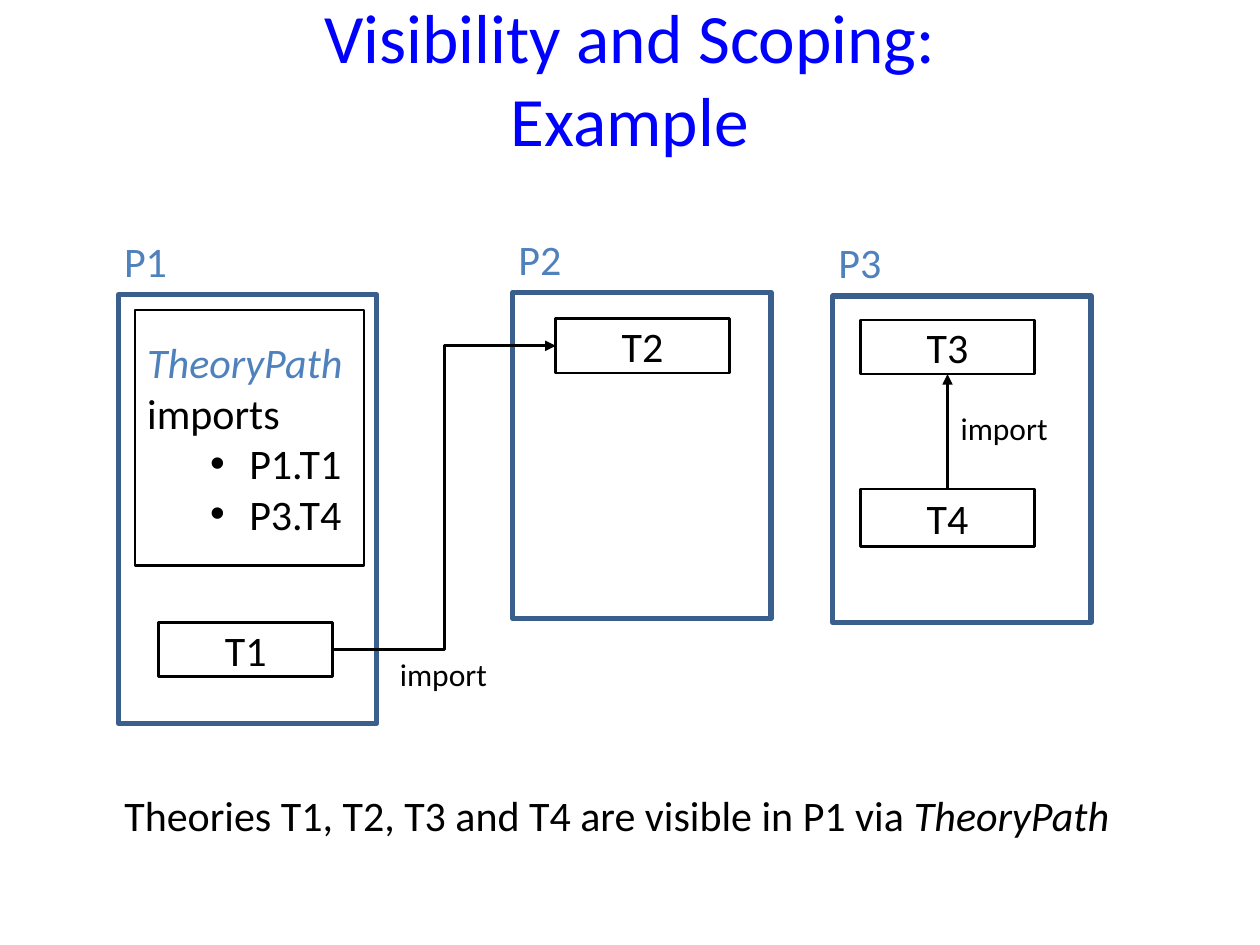
from lxml.etree import SubElement
from pptx import Presentation
from pptx.dml.color import RGBColor
from pptx.enum.shapes import MSO_CONNECTOR as Connector, MSO_SHAPE as Shape
from pptx.enum.text import MSO_ANCHOR as Anchor, PP_ALIGN as Align
from pptx.oxml.ns import qn
from pptx.util import Inches, Pt

COLORS = {"title": "0000FF", "label": "4F81BD", "frame": "3A5F8C", "ink": "000000"}
FONT = "Calibri"
TOP, LEFT, BOTTOM, RIGHT = range(4)
THEORY_WIDTH, THEORY_HEIGHT = 1.38, 0.43
PACKAGES = [
    ("P1", (0.94, 2.34, 2.05, 3.4), [("T1", 0.32, 2.6, THEORY_HEIGHT)]),
    ("P2", (4.07, 2.32, 2.05, 2.59), [("T2", 0.34, 0.21, THEORY_HEIGHT)]),
    ("P3", (6.61, 2.35, 2.05, 2.59),
     [("T3", 0.22, 0.19, THEORY_HEIGHT), ("T4", 0.22, 1.53, 0.46)]),
]


def color(name):
    """Look up a named colour."""
    return RGBColor.from_string(COLORS[name])


def add_run(paragraph, text, size=24, ink="ink", italic=False):
    """Append one styled run to a paragraph."""
    run = paragraph.add_run()
    run.text = text
    run.font.name, run.font.size, run.font.italic = FONT, Pt(size), italic
    run.font.color.rgb = color(ink)


def add_text(slide, box, runs, wrap=False):
    """Add a centred text box holding one paragraph of runs."""
    frame = slide.shapes.add_textbox(*map(Inches, box)).text_frame
    frame.word_wrap, frame.vertical_anchor = wrap, Anchor.MIDDLE
    paragraph = frame.paragraphs[0]
    paragraph.alignment = Align.CENTER
    for run in runs:
        add_run(paragraph, *run)
    return paragraph


def add_box(slide, box, line="ink", width=1.5):
    """Add an unfilled outlined rectangle."""
    shape = slide.shapes.add_shape(Shape.RECTANGLE, *map(Inches, box))
    shape.shadow.inherit = False
    shape.fill.background()
    shape.line.color.rgb, shape.line.width = color(line), Pt(width)
    shape.text_frame.vertical_anchor = Anchor.MIDDLE
    return shape


def add_package(slide, name, box, theories):
    """Draw a package with its label and return its theory boxes by name."""
    left, top = box[:2]
    add_box(slide, box, "frame", 3)
    add_text(slide, (left - 0.06, top - 0.52, 0.55, 0.5), [(name, 24, "label")])
    shapes = {}
    for theory, right, down, height in theories:
        shape = add_box(slide, (left + right, top + down, THEORY_WIDTH, height))
        paragraph = shape.text_frame.paragraphs[0]
        paragraph.alignment = Align.CENTER
        add_run(paragraph, theory)
        shapes[theory] = shape
    return shapes


def add_theory_path(slide, package):
    """Draw the import list inside the given package box."""
    left, top = package[:2]
    frame = add_box(slide, (left + 0.13, top + 0.12, 1.82, 2.03)).text_frame
    frame.word_wrap = True
    lines = [("TheoryPath", "label", True, False), ("imports", "ink", False, False),
             ("P1.T1", "ink", False, True), ("P3.T4", "ink", False, True)]
    for index, (text, ink, italic, bullet) in enumerate(lines):
        paragraph = frame.add_paragraph() if index else frame.paragraphs[0]
        paragraph.alignment = Align.LEFT
        add_run(paragraph, text, 24, ink, italic)
        if bullet:
            paragraph.level = 1
            properties = paragraph._p.get_or_add_pPr()
            properties.set("marL", str(Inches(0.81)))
            properties.set("indent", str(-Inches(0.31)))
            SubElement(properties, qn("a:buFont"), typeface="Arial")
            SubElement(properties, qn("a:buChar"), char="•")


def add_import(slide, kind, source, source_site, target, target_site, label_box):
    """Connect two theories with a labelled arrow."""
    arrow = slide.shapes.add_connector(kind, 0, 0, 0, 0)
    arrow.begin_connect(source, source_site)
    arrow.end_connect(target, target_site)
    arrow.line.color.rgb, arrow.line.width = color("ink"), Pt(1.75)
    SubElement(arrow.line._get_or_add_ln(), qn("a:tailEnd"), type="triangle")
    SubElement(arrow._element.spPr, qn("a:effectLst"))
    add_text(slide, label_box, [("import", 18)])


def build_slide(presentation):
    """Compose the visibility and scoping example."""
    slide = presentation.slides.add_slide(presentation.slide_layouts[6])
    title = add_text(slide, (0.5, -0.01, 9, 1.25),
                     [("Visibility and Scoping:", 39.6, "title")], True)
    title.add_line_break()
    add_run(title, "Example", 39.6, "title")
    theories = {}
    for package in PACKAGES:
        theories.update(add_package(slide, *package))
    add_theory_path(slide, PACKAGES[0][1])
    add_import(slide, Connector.STRAIGHT, theories["T4"], TOP,
               theories["T3"], BOTTOM, (7.52, 3.2, 0.9, 0.4))
    add_import(slide, Connector.ELBOW, theories["T1"], RIGHT,
               theories["T2"], LEFT, (3.07, 5.15, 0.9, 0.4))
    add_text(slide, (0.84, 6.22, 8.11, 0.5),
             [("Theories T1, T2, T3 and T4 are visible in P1 via ",),
              ("TheoryPath", 24, "ink", True)])


presentation = Presentation()
presentation.slide_width, presentation.slide_height = Inches(10), Inches(7.5)
build_slide(presentation)
presentation.save("out.pptx")
